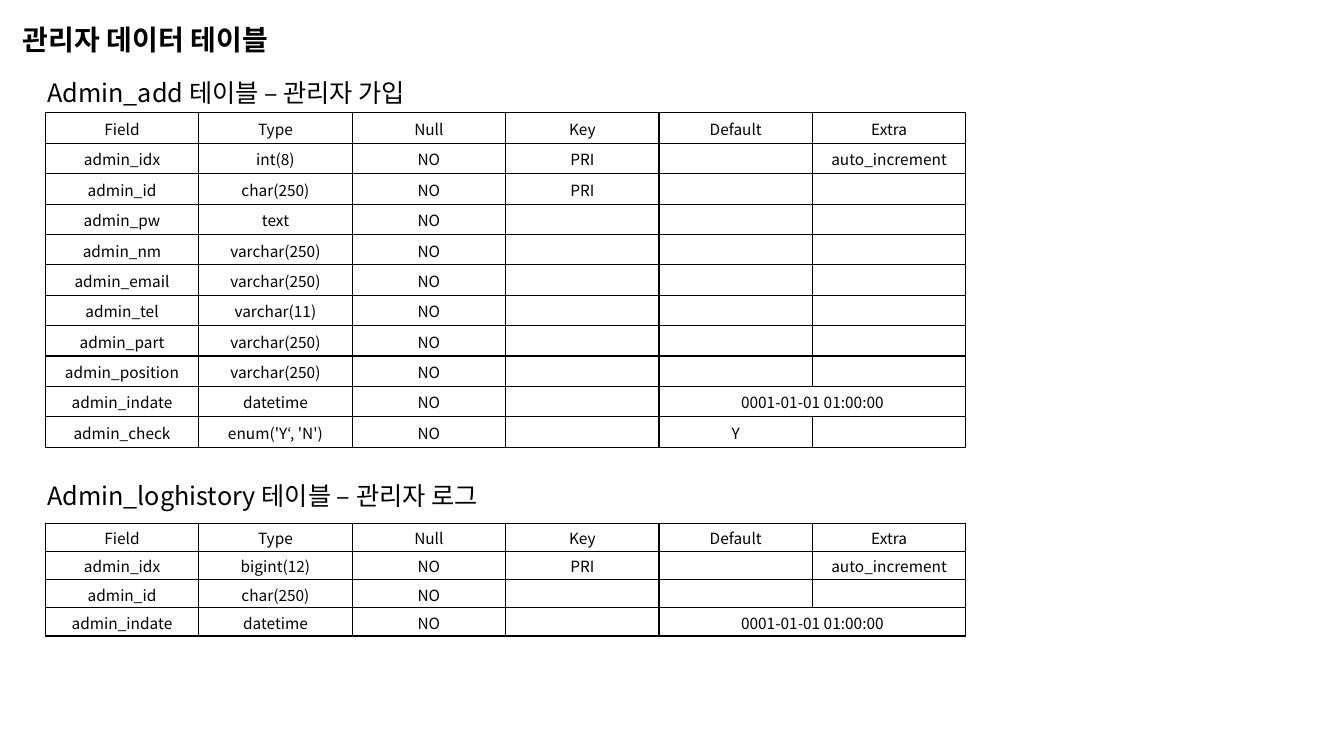
from lxml import etree
from pptx import Presentation
from pptx.dml.color import RGBColor
from pptx.enum.text import MSO_ANCHOR, PP_ALIGN
from pptx.oxml.ns import qn
from pptx.util import Inches, Pt

LEFT, CENTER = PP_ALIGN.LEFT, PP_ALIGN.CENTER
MIDDLE = MSO_ANCHOR.MIDDLE
BLACK = RGBColor(0, 0, 0)
FONT = "Noto Sans CJK KR"
COLUMN_WIDTH = 9.13 / 6
HEADER = ["Field", "Type", "Null", "Key", "Default", "Extra"]
INDATE = ["admin_indate", "datetime", "NO", "", "0001-01-01 01:00:00", ""]

ADMIN_ADD = [
    HEADER,
    ["admin_idx", "int(8)", "NO", "PRI", "", "auto_increment"],
    ["admin_id", "char(250)", "NO", "PRI", "", ""],
    ["admin_pw", "text", "NO", "", "", ""],
    ["admin_nm", "varchar(250)", "NO", "", "", ""],
    ["admin_email", "varchar(250)", "NO", "", "", ""],
    ["admin_tel", "varchar(11)", "NO", "", "", ""],
    ["admin_part", "varchar(250)", "NO", "", "", ""],
    ["admin_position", "varchar(250)", "NO", "", "", ""],
    INDATE,
    ["admin_check", "enum('Y‘, 'N')", "NO", "", "Y", ""],
]
ADMIN_LOGHISTORY = [
    HEADER,
    ["admin_idx", "bigint(12)", "NO", "PRI", "", "auto_increment"],
    ["admin_id", "char(250)", "NO", "", "", ""],
    INDATE,
]


def write(frame, text, size=11, bold=False, align=LEFT):
    para = frame.paragraphs[0]
    para.alignment = align
    if not text:
        etree.SubElement(para._p, qn("a:endParaRPr"), sz=str(size * 100))
        return
    span = para.add_run()
    span.text = text
    span.font.size = Pt(size)
    span.font.bold = bold
    span.font.name = FONT
    span.font.color.rgb = BLACK
    etree.SubElement(span._r.get_or_add_rPr(), qn("a:ea"), typeface=FONT)


def add_borders(cell):
    props = cell._tc.get_or_add_tcPr()
    for side in ("a:lnL", "a:lnR", "a:lnT", "a:lnB"):
        line = etree.SubElement(props, qn(side), w=str(Pt(1)))
        fill = etree.SubElement(line, qn("a:solidFill"))
        etree.SubElement(fill, qn("a:srgbClr"), val=str(BLACK))


deck = Presentation()
deck.slide_width, deck.slide_height = Inches(13.33), Inches(7.5)
page = deck.slides.add_slide(deck.slide_layouts[6])

for text, left, top, width, height, size, bold in [
    ("관리자 데이터 테이블", 0.13, 0.17, 5.53, 0.44, 20, True),
    ("Admin_add 테이블 – 관리자 가입", 0.37, 0.72, 4.48, 0.4, 18, False),
    ("Admin_loghistory 테이블 – 관리자 로그", 0.37, 4.72, 5.9, 0.4, 18, False),
]:
    box = page.shapes.add_textbox(Inches(left), Inches(top), Inches(width), Inches(height))
    box.text_frame.word_wrap = True
    write(box.text_frame, text, size=size, bold=bold)

for records, top, height in [(ADMIN_ADD, 1.12, 3.32), (ADMIN_LOGHISTORY, 5.19, 1.12)]:
    table = page.shapes.add_table(
        len(records), len(HEADER), Inches(0.45), Inches(top),
        Inches(COLUMN_WIDTH * len(HEADER)), Inches(height),
    ).table
    table.first_row = False
    table.horz_banding = False
    indate_row = records.index(INDATE)
    table.cell(indate_row, 4).merge(table.cell(indate_row, 5))
    for row, record in enumerate(records):
        for column, text in enumerate(record):
            cell = table.cell(row, column)
            cell.margin_left = cell.margin_right = cell.margin_top = Inches(0.01)
            cell.margin_bottom = 0
            cell.vertical_anchor = MIDDLE
            add_borders(cell)
            cell.fill.background()
            write(cell.text_frame, text, align=CENTER)

deck.save("out.pptx")
